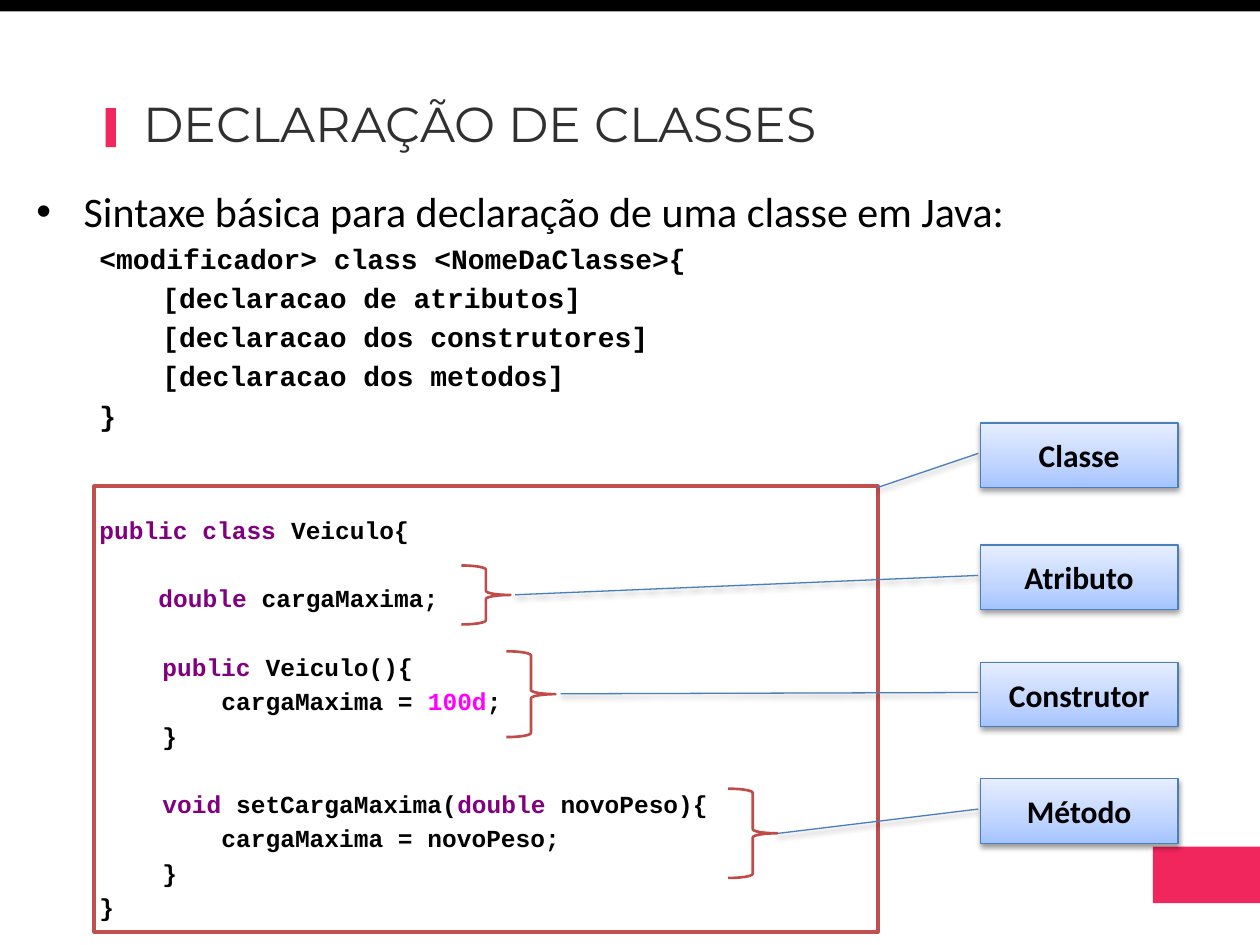
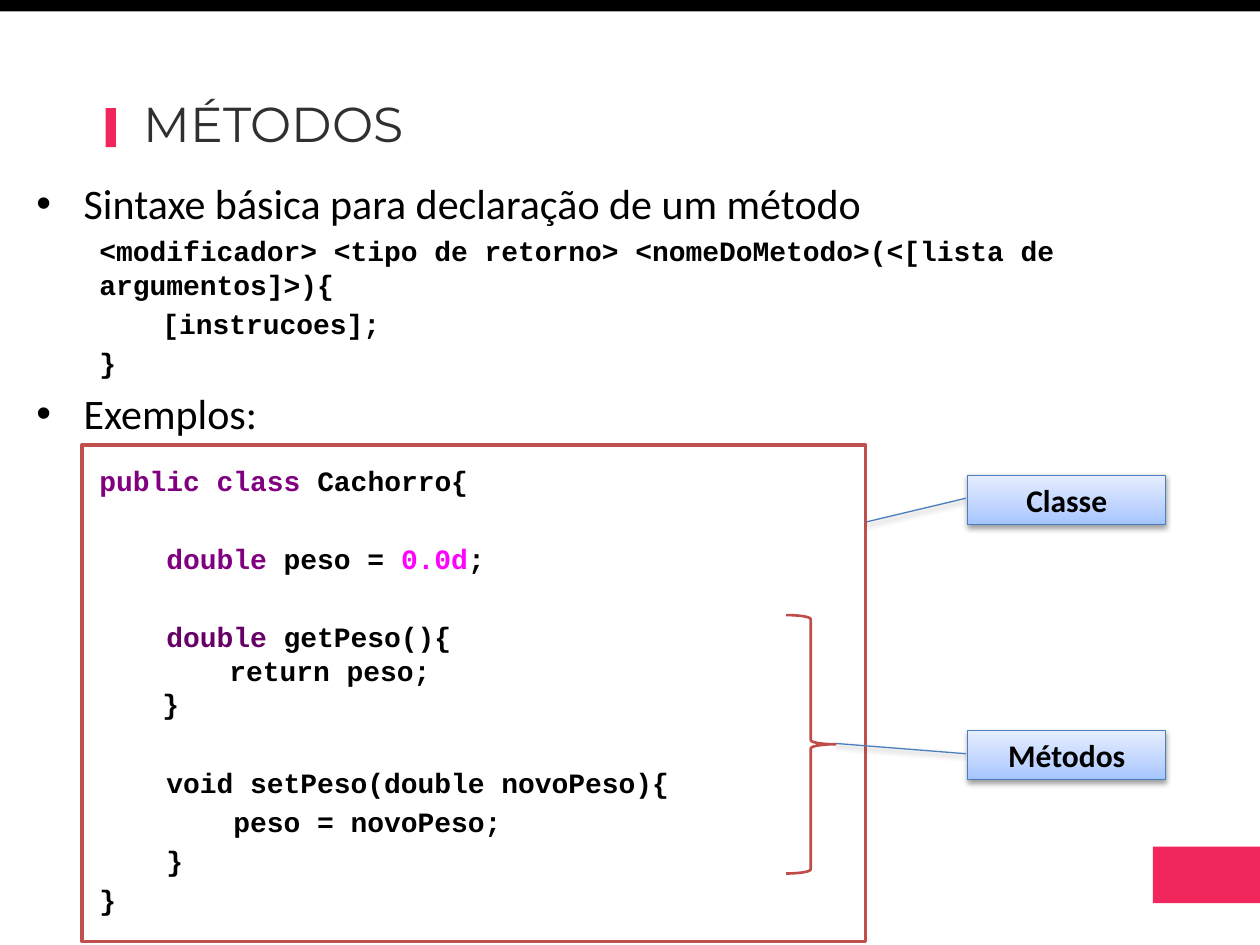
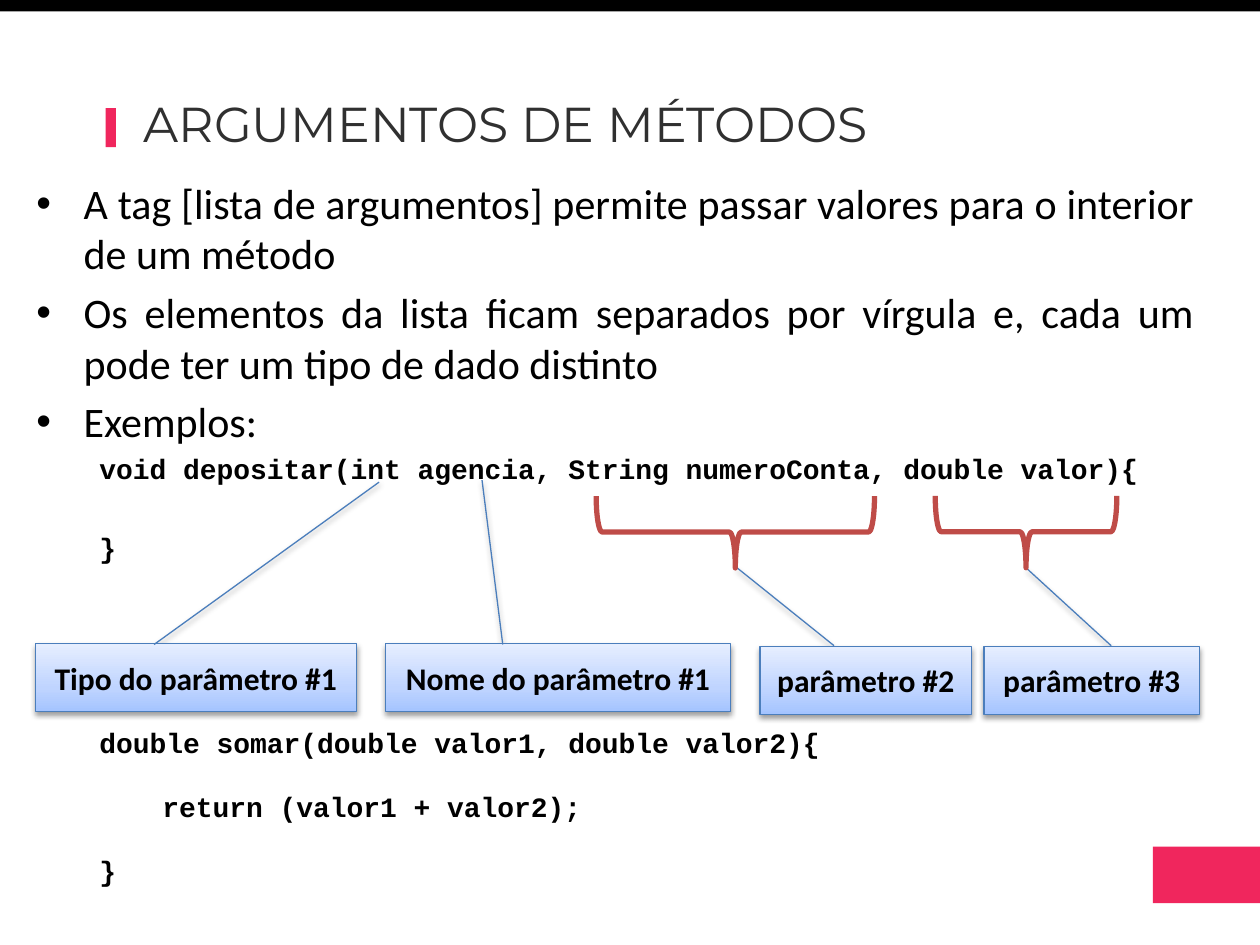
"""Build three slides on classes, methods and arguments in Java."""
from dataclasses import dataclass

from pptx import Presentation
from pptx.dml.color import RGBColor
from pptx.enum.shapes import MSO_SHAPE
from pptx.enum.text import MSO_ANCHOR, MSO_AUTO_SIZE, PP_ALIGN
from pptx.oxml import parse_xml
from pptx.oxml.ns import nsdecls, qn
from pptx.util import Cm, Pt

RECT = MSO_SHAPE.RECTANGLE
CALL = MSO_SHAPE.LINE_CALLOUT_1
RIGHT = MSO_SHAPE.RIGHT_BRACE
LEFT = MSO_SHAPE.LEFT_BRACE
TOP, MID = MSO_ANCHOR.TOP, MSO_ANCHOR.MIDDLE
FIXED = MSO_AUTO_SIZE.NONE
START, CENTER, JUST = PP_ALIGN.LEFT, PP_ALIGN.CENTER, PP_ALIGN.JUSTIFY


@dataclass(frozen=True)
class Theme:
    ink: str = "000000"
    head: str = "303030"
    pink: str = "F0265D"
    frame: str = "C0504D"
    brace: str = "BF4C48"
    edge: str = "4B7EBC"
    word: str = "800080"
    dark: str = "660066"
    num: str = "FF00FF"
    blues: tuple = ((0, "A4C4FF"), (35, "BFD4FF"), (100, "E6EEFF"))
    sans: str = "Calibri"
    mono: str = "Courier New"
    title: str = "Montserrat"
    big: int = 28
    item: int = 24
    label: int = 18
    code: int = 16
    small: int = 14


T = Theme()

BANDS = [
    (T.pink, 2.13, 2.18, 0.21, 0.79),
    (T.ink, 0, 0, 25.4, 0.23),
    (T.pink, 23.24, 17.07, 2.16, 1.14),
]

LEAD, TAB = 1.27, 2.54
STEP, IN = 1.19, 1.35
ROW, LOW = 22.3, 19.6

PAGES = [
    {
        "title": "DECLARAÇÃO DE CLASSES",
        "body": (0.48, 3.61, 23.06, 13.41),
        "lines": [
            ("item", 0, 0, [("ink", "Sintaxe básica para declaração de uma classe em Java:")]),
            ("code", LEAD, 0, [("ink", "<modificador> class <NomeDaClasse>{")]),
            ("code", TAB, 0, [("ink", "[declaracao de atributos]")]),
            ("code", TAB, 0, [("ink", "[declaracao dos construtores]")]),
            ("code", TAB, 0, [("ink", "[declaracao dos metodos]")]),
            ("code", LEAD, 0, [("ink", "}")]),
            ("small", LEAD, 2 * ROW, [("word", "public class "), ("ink", "Veiculo{")]),
            ("small", LEAD + STEP, LOW, [("word", "double "), ("ink", "cargaMaxima;")]),
            ("small", TAB, LOW, [("word", "public "), ("ink", "Veiculo(){")]),
            ("small", TAB + STEP, 0, [("ink", "cargaMaxima = "), ("num", "100d"), ("ink", ";")]),
            ("small", TAB, 0, [("ink", "}")]),
            ("small", TAB, LOW, [("word", "void "), ("ink", "setCargaMaxima("),
                                 ("word", "double "), ("ink", "novoPeso){")]),
            ("small", TAB + STEP, 0, [("ink", "cargaMaxima = novoPeso;")]),
            ("small", TAB, 0, [("ink", "}")]),
            ("small", LEAD, 0, [("ink", "}")]),
        ],
        "frame": [(1.9, 9.8, 15.8, 8.99)],
        "calls": [
            ("Classe", (19.76, 8.53, 3.99, 1.3), (0.47, -0.01, 1, -0.52)),
            ("Atributo", (19.76, 10.99, 3.99, 1.3), (0.47, -0.01, 0.77, -2.35)),
            ("Construtor", (19.76, 13.35, 3.99, 1.3), (0.47, -0.01, 0.49, -2.12)),
            ("Método", (19.76, 15.7, 3.99, 1.3), (0.47, -0.01, 0.85, -1.03)),
        ],
        "braces": [
            (RIGHT, 0, 1.5, (9.3, 11.4, 0.99, 1.19)),
            (RIGHT, 0, 1.5, (10.21, 13.13, 0.99, 1.73)),
            (RIGHT, 0, 1.5, (14.68, 15.9, 0.99, 1.8)),
        ],
    },
    {
        "title": "MÉTODOS",
        "body": (0.48, 3.45, 23.85, 12.57),
        "lines": [
            ("item", 0, 0, [("ink", "Sintaxe básica para declaração de um método")]),
            ("code", LEAD, 0, [("ink", "<modificador> <tipo de retorno> "
                                "<nomeDoMetodo>(<[lista de argumentos]>){")]),
            ("code", TAB, 0, [("ink", "[instrucoes];")]),
            ("code", LEAD, 0, [("ink", "}")]),
            ("item", 0, 0, [("ink", "Exemplos:")]),
            ("code", LEAD, 11.4, [("word", "public class "), ("ink", "Cachorro{")]),
            ("code", LEAD + IN, ROW, [("word", "double"), ("ink", " peso = "),
                                      ("num", "0.0d"), ("ink", ";")]),
            ("code", LEAD + IN, ROW, [("dark", "double "), ("ink", "getPeso(){")]),
            ("code", TAB + IN, -3.2, [("ink", "return peso;")]),
            ("code", TAB, -3.2, [("ink", "}")]),
            ("code", LEAD + IN, ROW, [("ink", "void setPeso(double novoPeso){")]),
            ("code", LEAD + 2 * IN, 0, [("ink", "peso = novoPeso;")]),
            ("code", LEAD + IN, 0, [("ink", "}")]),
            ("code", LEAD, 0, [("ink", "}")]),
        ],
        "frame": [(1.65, 8.97, 15.8, 10.01)],
        "calls": [
            ("Classe", (19.51, 9.58, 3.99, 0.99), (0.47, -0.01, 0.95, -0.51)),
            ("Métodos", (19.51, 14.73, 3.99, 0.99), (0.47, -0.01, 0.26, -0.67)),
        ],
        "braces": [(RIGHT, 0, 1.5, (15.85, 12.4, 0.99, 5.21))],
    },
    {
        "title": "ARGUMENTOS DE MÉTODOS",
        "body": (0.48, 3.45, 23.85, 12.57),
        "lines": [
            ("just", 0, 0, [("ink", "A tag [lista de argumentos] permite passar "
                             "valores para o interior de um método")]),
            ("just", 0, 0, [("ink", "Os elementos da lista ficam separados por vírgula e, "
                             "cada um pode ter um tipo de dado distinto")]),
            ("item", 0, 0, [("ink", "Exemplos:")]),
            ("code", LEAD, 0, [("ink", "void depositar(int agencia, "
                                "String numeroConta, double valor){")]),
            ("code", LEAD, ROW, [("ink", "}")]),
            ("code", LEAD, 4 * ROW, [("ink", "double somar(double valor1, double valor2){")]),
            ("code", TAB, 14.3, [("ink", "return (valor1 + valor2);")]),
            ("code", LEAD, 14.3, [("ink", "}")]),
        ],
        "frame": [],
        "calls": [
            ("Nome do parâmetro #1", (7.77, 12.98, 6.96, 1.37), (0.01, 0.34, -2.41, 0.28)),
            ("Tipo do parâmetro #1", (0.71, 12.98, 6.48, 1.37), (0.01, 0.37, -2.38, 1.07)),
            ("parâmetro #2", (15.32, 13.03, 4.27, 1.37), (-0.01, 0.35, -1.16, -0.11)),
            ("parâmetro #3", (19.84, 13.03, 4.34, 1.37), (-0.01, 0.59, -1.14, 0.2)),
        ],
        "braces": [
            (LEFT, 270, 3, (14.1, 7.92, 1.45, 5.61)),
            (LEFT, 270, 3, (19.96, 8.89, 1.45, 3.66)),
        ],
    },
]


def draw(slide, kind, box, fill=None, line=None, width=1):
    """Add a preset shape with a plain fill and line."""
    shape = slide.shapes.add_shape(kind, *map(Cm, box))
    shape.shadow.inherit = False
    if fill:
        shape.fill.solid()
        shape.fill.fore_color.rgb = RGBColor.from_string(fill)
    else:
        shape.fill.background()
    if line:
        shape.line.color.rgb = RGBColor.from_string(line)
        shape.line.width = Pt(width)
    else:
        shape.line.fill.background()
    return shape


def write(para, text, font, size, color, bold=False):
    """Add one formatted run to a paragraph."""
    run = para.add_run()
    run.text = text
    run.font.name = font
    run.font.size = Pt(size)
    run.font.bold = bold
    run.font.color.rgb = RGBColor.from_string(color)


prs = Presentation()
prs.slide_width, prs.slide_height = Cm(25.4), Cm(19.05)

stops = "".join(
    f'<a:gs pos="{pos * 1000}"><a:srgbClr val="{tint}"/></a:gs>' for pos, tint in T.blues
)
GRAD = (f'<a:gradFill {nsdecls("a")} rotWithShape="1"><a:gsLst>{stops}</a:gsLst>'
        '<a:lin ang="16200000" scaled="0"/></a:gradFill>')
SHADE = (f'<a:outerShdw {nsdecls("a")} blurRad="40000" dist="20000" dir="5400000" '
         f'rotWithShape="0"><a:srgbClr val="{T.ink}"><a:alpha val="38000"/>'
         '</a:srgbClr></a:outerShdw>')

for page in PAGES:
    slide = prs.slides.add_slide(prs.slide_layouts[1])
    title, body = slide.shapes.title, slide.placeholders[1]
    for holder, box in ((title, (2.64, 1.9, 20.45, 1.35)), (body, page["body"])):
        holder.left, holder.top, holder.width, holder.height = map(Cm, box)
        holder.text_frame.auto_size = FIXED
        holder.text_frame.vertical_anchor = TOP
    para = title.text_frame.paragraphs[0]
    para.alignment = START
    para.line_spacing = 0.9
    write(para, page["title"], T.title, T.big, T.head)

    for color, *box in BANDS:
        draw(slide, RECT, box, fill=color)

    for row, (style, left, gap, runs) in enumerate(page["lines"]):
        frame = body.text_frame
        para = frame.add_paragraph() if row else frame.paragraphs[0]
        code = style in ("code", "small")
        size = getattr(T, style) if code else T.item
        para.alignment = JUST if style == "just" else START
        para.space_before = Pt(round(size * 0.2 + gap, 1))
        if code:
            para.level = 1
            props = para._p.get_or_add_pPr()
            props.set("marL", str(Cm(left)))
            props.set("indent", "0")
            props.append(parse_xml(f'<a:buNone {nsdecls("a")}/>'))
        for tone, text in runs:
            write(para, text, T.mono if code else T.sans, size, getattr(T, tone), code)

    for box in page["frame"]:
        draw(slide, RECT, box, line=T.frame, width=2)

    for text, box, tips in page["calls"]:
        call = draw(slide, CALL, box, line=T.edge, width=0.75)
        for spot, tip in enumerate(tips):
            call.adjustments[spot] = tip
        props = call.element.spPr
        props.replace(props.find(qn("a:noFill")), parse_xml(GRAD))
        props.find(qn("a:effectLst")).append(parse_xml(SHADE))
        frame = call.text_frame
        frame.word_wrap = False
        frame.vertical_anchor = MID
        frame.margin_top = frame.margin_bottom = 0
        para = frame.paragraphs[0]
        para.alignment = CENTER
        write(para, text, T.sans, T.label, T.ink, True)

    for kind, turn, width, box in page["braces"]:
        draw(slide, kind, box, line=T.brace, width=width).rotation = turn

prs.save("out.pptx")
